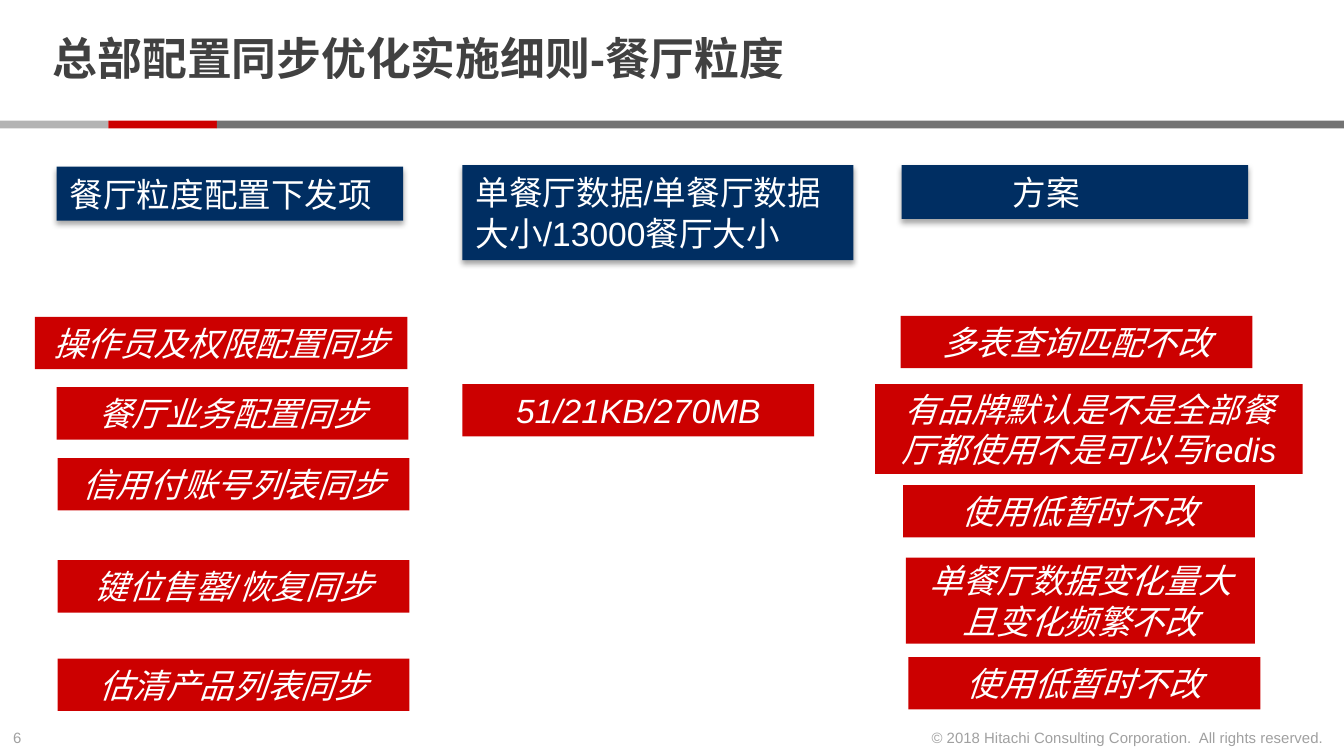
from dataclasses import dataclass

from lxml.etree import SubElement
from pptx import Presentation
from pptx.dml.color import RGBColor
from pptx.enum.shapes import MSO_SHAPE
from pptx.enum.text import MSO_ANCHOR, MSO_AUTO_SIZE, PP_ALIGN
from pptx.oxml.ns import qn
from pptx.shapes.autoshape import Shape
from pptx.slide import Slide
from pptx.text.text import _Paragraph
from pptx.util import Cm, Pt


@dataclass(frozen=True)
class Theme:
    font: str = "Arial"
    title: str = "414141"
    footer: str = "A0A0A0"
    white: str = "FFFFFF"
    navy: str = "002E62"
    red: str = "CC0000"
    dark_grey: str = "737373"
    light_grey: str = "B3B3B3"
    title_size: int = 24
    box_size: int = 18
    footer_size: int = 8


@dataclass(frozen=True)
class Box:
    """A labelled rectangle, in centimetres."""
    text: str
    left: float
    top: float
    width: float = 6.65
    height: float = 0.99
    indent: float = 0


THEME = Theme()
SLIDE_W, SLIDE_H = 25.4, 14.29

HEADERS = [
    Box("餐厅粒度配置下发项", 1.07, 3.15, 6.55, 1.02),
    Box("单餐厅数据/单餐厅数据大小/13000餐厅大小", 8.74, 3.12, 7.39, 1.8),
    Box("方案", 17.04, 3.12, 6.55, 1.02, indent=1.85),
]
ITEMS = [
    # Configuration items
    Box("操作员及权限配置同步", 0.66, 5.99, 7.04),
    Box("餐厅业务配置同步", 1.07, 7.32),
    Box("信用付账号列表同步", 1.09, 8.66),
    Box("键位售罄/恢复同步", 1.09, 10.59),
    Box("估清产品列表同步", 1.09, 12.45),
    # Data size
    Box("51/21KB/270MB", 8.74, 7.26),
    # Solutions
    Box("多表查询匹配不改", 17.02, 5.97),
    Box("有品牌默认是不是全部餐厅都使用不是可以写redis", 16.54, 7.26, 8.08, 1.7),
    Box("使用低暂时不改", 17.07, 9.17),
    Box("单餐厅数据变化量大且变化频繁不改", 17.12, 10.54, 6.6, 1.63),
    Box("使用低暂时不改", 17.17, 12.42),
]


def style(p: _Paragraph, size: int, color: str, align: PP_ALIGN = PP_ALIGN.LEFT,
          bold: bool = False, italic: bool = False) -> None:
    p.alignment = align
    p.font.name = THEME.font
    p.font.size = Pt(size)
    p.font.bold = bold
    p.font.italic = italic
    p.font.color.rgb = RGBColor.from_string(color)


def add_rect(s: Slide, left: float, top: float, width: float, height: float,
             fill: str) -> Shape:
    sp = s.shapes.add_shape(MSO_SHAPE.RECTANGLE, Cm(left), Cm(top), Cm(width), Cm(height))
    sp.shadow.inherit = False
    sp.fill.solid()
    sp.fill.fore_color.rgb = RGBColor.from_string(fill)
    sp.line.fill.background()
    return sp


def add_shadow(sp: Shape) -> None:
    effects = sp.element.spPr.find(qn("a:effectLst"))
    shadow = SubElement(effects, qn("a:outerShdw"), blurRad=str(Pt(3.1)),
                        dist=str(Pt(1.8)), dir="5400000", rotWithShape="0")
    color = SubElement(shadow, qn("a:srgbClr"), val="000000")
    SubElement(color, qn("a:alpha"), val="35000")


def add_box(s: Slide, box: Box, fill: str, align: PP_ALIGN, italic: bool) -> Shape:
    sp = add_rect(s, box.left, box.top, box.width, box.height, fill)
    tf = sp.text_frame
    tf.word_wrap = True
    tf.vertical_anchor = MSO_ANCHOR.MIDDLE
    tf.margin_left = Cm(0.25 + box.indent)
    tf.text = box.text
    style(tf.paragraphs[0], THEME.box_size, THEME.white, align, italic=italic)
    return sp


def add_footer(s: Slide, text: str, left: float, width: float, align: PP_ALIGN) -> None:
    tf = s.shapes.add_textbox(Cm(left), Cm(13.65), Cm(width), Cm(0.6)).text_frame
    tf.word_wrap = False
    tf.text = text
    style(tf.paragraphs[0], THEME.footer_size, THEME.footer, align)


def add_title(s: Slide, text: str) -> None:
    sp = s.shapes.title
    sp.left, sp.top, sp.width, sp.height = Cm(0.74), Cm(0.15), Cm(19.58), Cm(2.03)
    tf = sp.text_frame
    tf.auto_size = MSO_AUTO_SIZE.NONE
    tf.word_wrap = True
    tf.vertical_anchor = MSO_ANCHOR.MIDDLE
    tf.margin_top = tf.margin_bottom = 0
    tf.text = text
    p = tf.paragraphs[0]
    p.line_spacing = 0.85
    style(p, THEME.title_size, THEME.title, bold=True)


def main() -> None:
    prs = Presentation()
    prs.slide_width, prs.slide_height = Cm(SLIDE_W), Cm(SLIDE_H)
    s = prs.slides.add_slide(prs.slide_layouts[5])

    # Title and three-colour rule
    add_title(s, "总部配置同步优化实施细则-餐厅粒度")
    step = 2.05
    for left, width, fill in [(0, step, THEME.light_grey), (step, step, THEME.red),
                              (2 * step, SLIDE_W - 2 * step, THEME.dark_grey)]:
        add_rect(s, left, 2.28, width, 0.15, fill)

    # Column headers
    for box in HEADERS:
        add_shadow(add_box(s, box, THEME.navy, PP_ALIGN.LEFT, italic=False))

    # Column entries
    for box in ITEMS:
        add_box(s, box, THEME.red, PP_ALIGN.CENTER, italic=True)

    # Slide number and copyright
    add_footer(s, "6", 0, 0.86, PP_ALIGN.LEFT)
    add_footer(s, "© 2018 Hitachi Consulting Corporation.\u00a0 All rights reserved.",
               17.24, 8.03, PP_ALIGN.RIGHT)

    prs.save("out.pptx")


if __name__ == "__main__":
    main()
